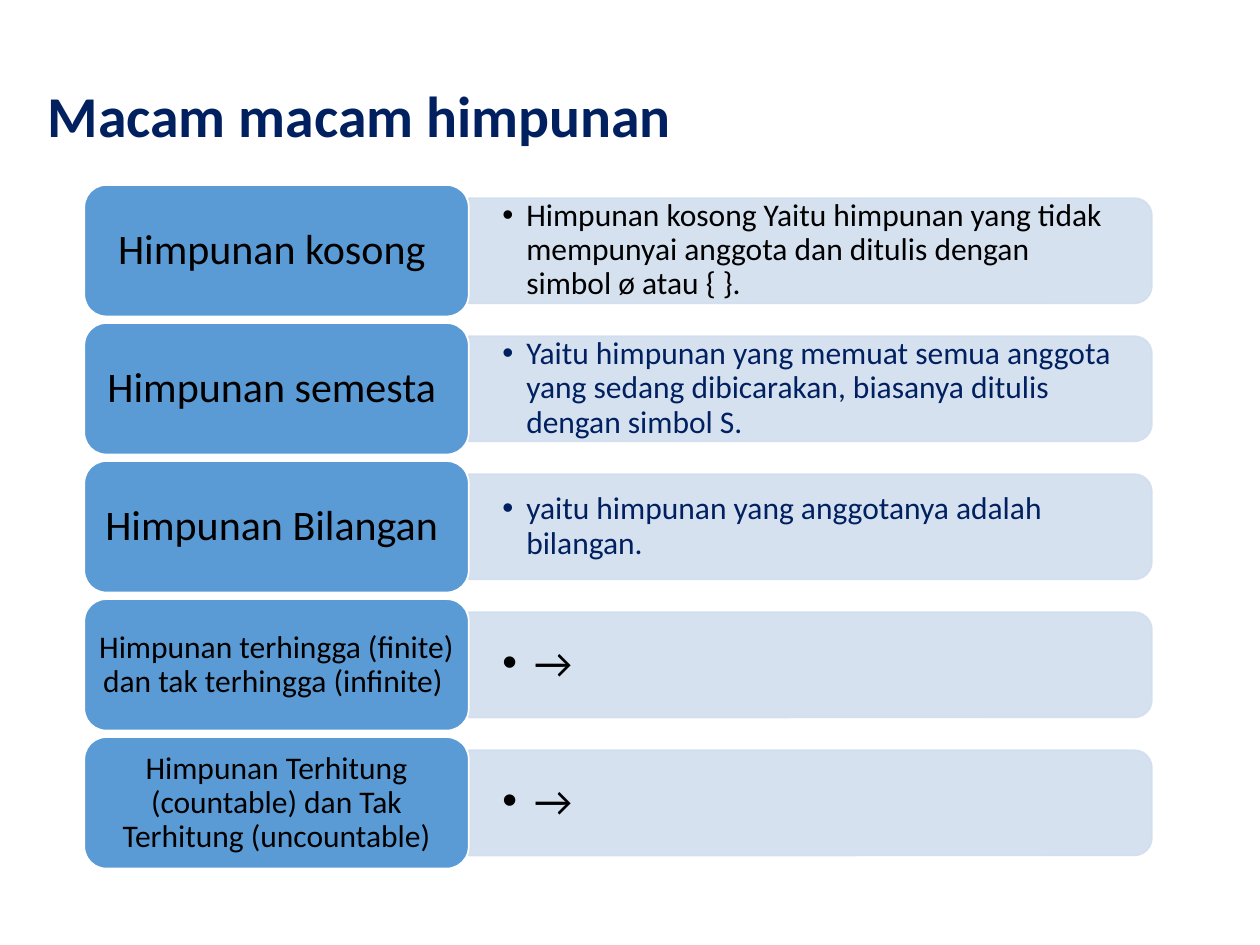
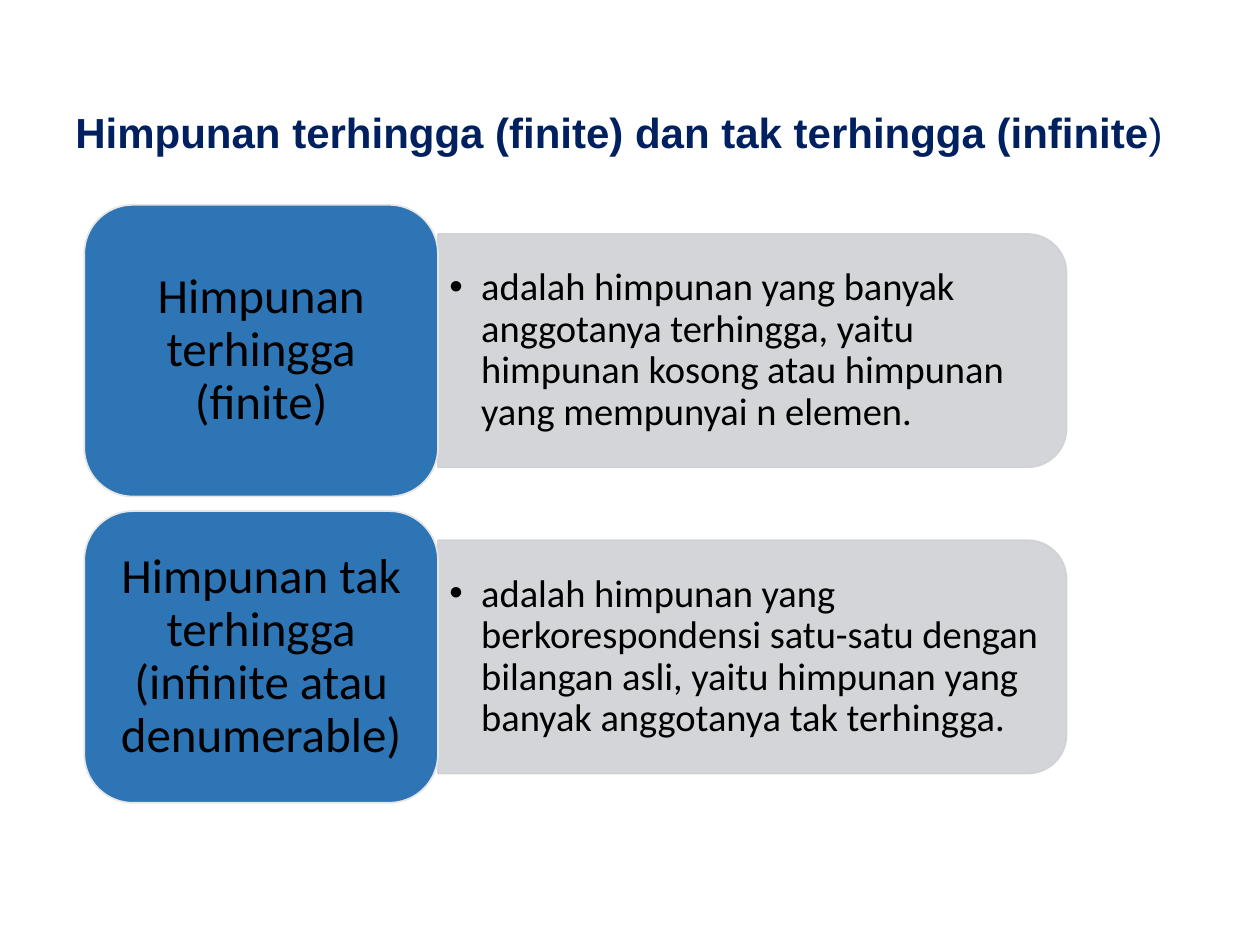
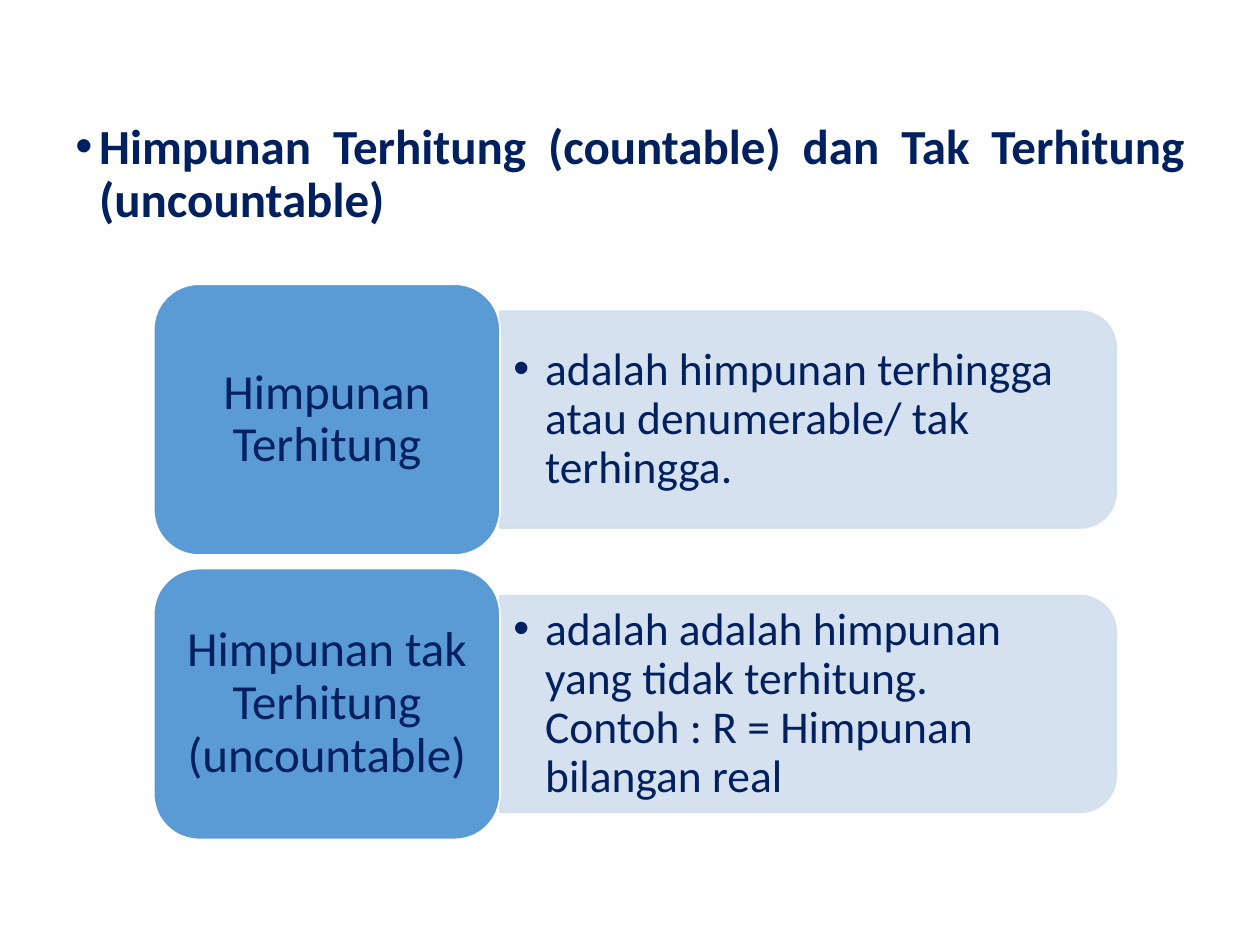
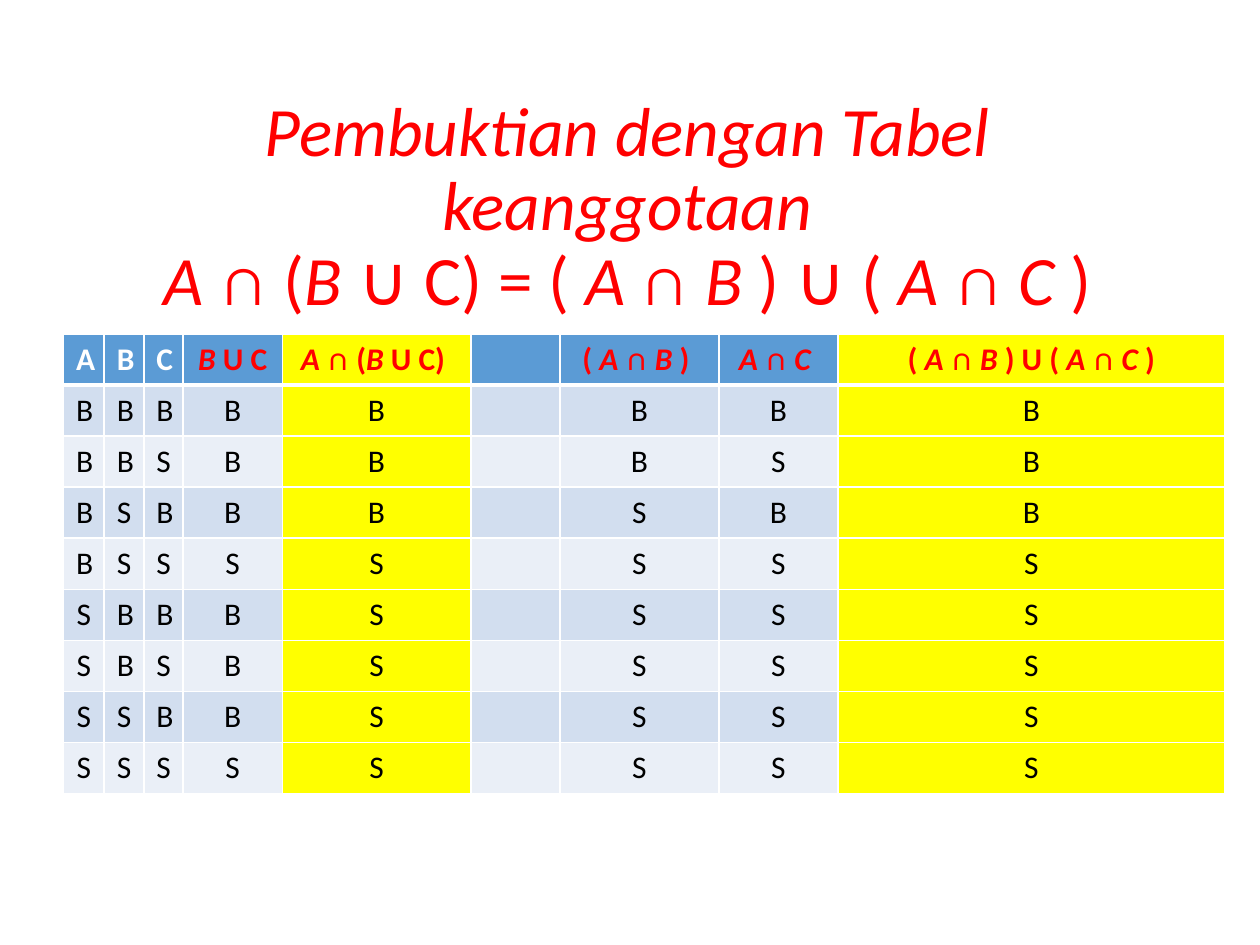
from itertools import product

from lxml import etree
from pptx import Presentation
from pptx.dml.color import RGBColor
from pptx.enum.shapes import MSO_SHAPE
from pptx.enum.text import MSO_ANCHOR, MSO_AUTO_SIZE, PP_ALIGN
from pptx.oxml.ns import qn
from pptx.util import Cm, Pt

LEFT, CENTER, JUSTIFY = PP_ALIGN.LEFT, PP_ALIGN.CENTER, PP_ALIGN.JUSTIFY
TOP, MIDDLE = MSO_ANCHOR.TOP, MSO_ANCHOR.MIDDLE
ROUNDED = MSO_SHAPE.ROUNDED_RECTANGLE
TOP_ROUNDED = MSO_SHAPE.ROUND_2_SAME_RECTANGLE
NO_FIT = MSO_AUTO_SIZE.NONE
CONTENT_LAYOUT, TITLE_LAYOUT = 1, 5

COLORS = {
    "navy": "002060", "black": "000000", "white": "FFFFFF", "red": "FF0000",
    "blue": "5B9BD5", "pale blue": "D2DEEF", "faint blue": "EAEFF7",
    "deep blue": "2E75B6", "gray": "CFD1D4", "light gray": "E7E6E6",
    "yellow": "FFFF00",
}
FONT = "Calibri"
LINE_SPACING = 0.9
BULLET_INDENT = 0.64
SMALL_INDENT = 0.48

# Corner insets of the text and proportions of a row, relative to its height
ROW_GAP = 0.05
PANEL_SHARE = 0.8
CORNER_INSET = 0.05


def rgb(color):
    return RGBColor.from_string(COLORS[color])


def style_paragraph(paragraph, size, color, align=LEFT, bold=False, font=FONT):
    paragraph.alignment = align
    paragraph.line_spacing = LINE_SPACING
    paragraph.space_before = Pt(0)
    paragraph.font.name = font
    paragraph.font.size = Pt(size)
    paragraph.font.bold = bold
    paragraph.font.color.rgb = rgb(color)


def set_bullet(paragraph, indent):
    """Hang a bullet by indent cm; an indent of 0 turns the bullet off."""
    properties = paragraph._p.get_or_add_pPr()
    properties.set("marL", str(Cm(indent)))
    properties.set("indent", str(-Cm(indent)))
    if indent:
        font = etree.SubElement(properties, qn("a:buFont"))
        font.set("typeface", "Arial")
        etree.SubElement(properties, qn("a:buChar")).set("char", "•")
    else:
        etree.SubElement(properties, qn("a:buNone"))


def add_marked_runs(paragraph, text):
    """Add runs; the parts between asterisks are italic."""
    for index, part in enumerate(text.split("*")):
        if part:
            run = paragraph.add_run()
            run.text = part
            run.font.italic = index % 2 == 1


def prepare_frame(frame, insets, anchor=MIDDLE):
    frame.word_wrap = True
    frame.auto_size = NO_FIT
    frame.vertical_anchor = anchor
    frame.margin_left = frame.margin_right = Cm(insets[0])
    frame.margin_top = frame.margin_bottom = Cm(insets[1])


def place_placeholder(placeholder, left, top, width, height, anchor):
    """Move a placeholder and return its first paragraph."""
    placeholder.left, placeholder.top = Cm(left), Cm(top)
    placeholder.width, placeholder.height = Cm(width), Cm(height)
    prepare_frame(placeholder.text_frame, (0.25, 0.13), anchor)
    return placeholder.text_frame.paragraphs[0]


def add_titled_slide(prs, *box):
    slide = prs.slides.add_slide(prs.slide_layouts[TITLE_LAYOUT])
    return slide, place_placeholder(slide.shapes.title, *box, MIDDLE)


def add_body_slide(prs, *box):
    """Add a slide whose heading stands in the body placeholder."""
    slide = prs.slides.add_slide(prs.slide_layouts[CONTENT_LAYOUT])
    title = slide.shapes.title._element
    title.getparent().remove(title)
    return slide, place_placeholder(slide.placeholders[1], *box, TOP)


def add_filled_shape(slide, preset, left, top, width, height, fill, line):
    shape = slide.shapes.add_shape(preset, Cm(left), Cm(top), Cm(width), Cm(height))
    shape.shadow.inherit = False
    shape.fill.solid()
    shape.fill.fore_color.rgb = rgb(fill)
    shape.line.color.rgb = rgb(line)
    shape.line.width = Pt(1)
    return shape


def add_panel(slide, left, top, width, height, fill):
    """Add a translucent panel that is rounded on its right side."""
    panel = add_filled_shape(slide, TOP_ROUNDED, left + (width - height) / 2,
                             top + (height - width) / 2, height, width, fill, fill)
    panel.rotation = 90
    for color in panel._element.spPr.iter(qn("a:srgbClr")):
        etree.SubElement(color, qn("a:alpha")).set("val", "90000")


def add_definition(slide, left, top, width, height, text, size, color, indent, insets):
    box = slide.shapes.add_textbox(Cm(left), Cm(top), Cm(width), Cm(height))
    prepare_frame(box.text_frame, insets)
    paragraph = box.text_frame.paragraphs[0]
    paragraph.text = text
    set_bullet(paragraph, indent)
    style_paragraph(paragraph, size, color)


def add_term_rows(slide, rows, left, top, term_width, row_height, panel_width,
                  panel_insets, term_fill="blue", term_line="white",
                  panel_fill="pale blue"):
    """Stack rows of a term block and its definition panel.

    A row is (term, size, color, insets), (definition, size, color, indent).
    """
    panel_height = row_height * PANEL_SHARE
    inset = panel_height * CORNER_INSET
    panel_left = left + term_width
    for index, (term, definition) in enumerate(rows):
        row_top = top + index * row_height * (1 + ROW_GAP)
        panel_top = row_top + (row_height - panel_height) / 2
        add_panel(slide, panel_left, panel_top, panel_width, panel_height, panel_fill)
        add_definition(slide, panel_left, panel_top + inset, panel_width - inset,
                       panel_height - 2 * inset, *definition, panel_insets)
        block = add_filled_shape(slide, ROUNDED, left, row_top, term_width,
                                 row_height, term_fill, term_line)
        text, size, color, insets = term
        prepare_frame(block.text_frame, insets)
        paragraph = block.text_frame.paragraphs[0]
        paragraph.text = text
        style_paragraph(paragraph, size, color, CENTER)


def set_borders(cell, top, bottom):
    properties = cell._tc.get_or_add_tcPr()
    for side, width in (("L", 1), ("R", 1), ("T", top), ("B", bottom)):
        line = etree.SubElement(properties, qn(f"a:ln{side}"))
        line.set("w", str(Pt(width)))
        fill = etree.SubElement(line, qn("a:solidFill"))
        etree.SubElement(fill, qn("a:srgbClr")).set("val", COLORS["white"])


def fill_cell(cell, text, fill, color, bold=False, top=1, bottom=1):
    set_borders(cell, top, bottom)
    cell.fill.solid()
    cell.fill.fore_color.rgb = rgb(fill)
    paragraph = cell.text_frame.paragraphs[0]
    add_marked_runs(paragraph, text)
    style_paragraph(paragraph, 18, color, CENTER, bold)
    paragraph.line_spacing = 1.0


def membership_rows():
    """Yield the truth table of both sides, B for true and S for false."""
    for a, b, c in product((True, False), repeat=3):
        values = (a, b, c, b or c, a and (b or c), None,
                  a and b, a and c, (a and b) or (a and c))
        yield ["" if value is None else "B" if value else "S" for value in values]


def add_membership_table(slide):
    headers = ("A", "B", "C", "*B *U C", "*A *∩ (*B *U C) ", "",
               "( *A *∩ *B* ) ", "*A *∩ *C *", "( *A *∩ *B* ) U ( *A *∩ *C* )")
    widths = (0.82, 0.8, 0.79, 2, 3.8, 1.8, 3.2, 2.4, 7.8)
    proof_columns = (4, 8)
    rows = list(membership_rows())
    row_height = 1.03
    table = slide.shapes.add_table(
        len(rows) + 1, len(headers), Cm(1.28), Cm(6.73), Cm(sum(widths)),
        Cm(row_height * (len(rows) + 1))).table
    table.horz_banding = False
    for column, width in zip(table.columns, widths):
        column.width = Cm(width)
    for column, header in enumerate(headers):
        fill = "yellow" if column in proof_columns else "blue"
        color = "white" if column < 3 else "red"
        fill_cell(table.cell(0, column), header, fill, color, bold=True, bottom=3)
    for number, row in enumerate(rows, start=1):
        band = "pale blue" if number % 2 else "faint blue"
        for column, value in enumerate(row):
            fill = "yellow" if column in proof_columns else band
            fill_cell(table.cell(number, column), value, fill, "black",
                      top=3 if number == 1 else 1)


def build_kinds_slide(prs):
    slide, title = add_titled_slide(prs, 0.71, 0.56, 21.9, 3.68)
    title.text = "Macam macam himpunan"
    style_paragraph(title, 33, "navy", bold=True)
    wide, narrow = (0.25, 0.13), (0.17, 0.09)
    arrow = ("→", 24, "black", BULLET_INDENT)
    rows = (
        (("Himpunan kosong ", 24, "black", wide),
         ("Himpunan kosong Yaitu himpunan yang tidak mempunyai anggota dan "
          "ditulis dengan simbol ø atau { }.", 18, "black", SMALL_INDENT)),
        (("Himpunan semesta ", 24, "black", wide),
         ("Yaitu himpunan yang memuat semua anggota yang sedang dibicarakan, "
          "biasanya ditulis dengan simbol S.", 18, "navy", SMALL_INDENT)),
        (("Himpunan Bilangan ", 24, "black", wide),
         ("yaitu himpunan yang anggotanya adalah bilangan.",
          18, "navy", SMALL_INDENT)),
        (("Himpunan terhingga (finite) dan tak terhingga (infinite) ",
          18, "black", narrow), arrow),
        (("Himpunan Terhitung (countable) dan Tak Terhitung (uncountable)",
          18, "black", narrow), arrow),
    )
    add_term_rows(slide, rows, 1.7, 3.73, 7.75, 2.65, 13.77, (0.68, 0.34))


def build_finite_slide(prs):
    slide, heading = add_body_slide(prs, 1.27, 2.13, 23.42, 14.81)
    set_bullet(heading, 0)
    style_paragraph(heading, 24, "navy", font="Arial")
    heading.add_run().text = "Himpunan terhingga (finite) dan tak terhingga (infinite"
    heading.runs[0].font.bold = True
    heading.add_run().text = ")"
    insets = (0.3, 0.15)
    rows = (
        (("Himpunan terhingga (finite)", 28, "black", insets),
         ("adalah himpunan yang banyak anggotanya terhingga, yaitu himpunan "
          "kosong atau himpunan yang mempunyai n elemen.",
          22, "black", BULLET_INDENT)),
        (("Himpunan tak terhingga (infinite atau denumerable)",
          28, "black", insets),
         ("adalah himpunan yang berkorespondensi satu-satu dengan bilangan "
          "asli, yaitu himpunan yang banyak anggotanya tak terhingga.",
          22, "black", BULLET_INDENT)),
    )
    add_term_rows(slide, rows, 1.7, 4.13, 7.13, 5.88, 12.67, (0.23, 0.12),
                  "deep blue", "light gray", "gray")


def build_countable_slide(prs):
    slide, heading = add_body_slide(prs, 1.27, 2.34, 22.86, 15.39)
    heading.text = "Himpunan Terhitung (countable) dan Tak Terhitung (uncountable)"
    set_bullet(heading, SMALL_INDENT)
    style_paragraph(heading, 28, "navy", JUSTIFY, bold=True)
    insets = (0.3, 0.15)
    rows = (
        (("Himpunan Terhitung", 28, "navy", insets),
         ("adalah himpunan terhingga atau denumerable/ tak terhingga.",
          26, "navy", BULLET_INDENT)),
        (("Himpunan tak Terhitung (uncountable)", 28, "navy", insets),
         ("adalah adalah himpunan yang tidak terhitung. Contoh : "
          "R = Himpunan bilangan real", 26, "navy", BULLET_INDENT)),
    )
    add_term_rows(slide, rows, 3.1, 5.73, 6.98, 5.46, 12.42, (0.27, 0.13))


def build_proof_slide(prs):
    slide, title = add_titled_slide(prs, 1.22, 2.51, 22.86, 3.38)
    add_marked_runs(title, "*Pembuktian dengan Tabel keanggotaan*")
    title.add_line_break()
    add_marked_runs(title, "*A *∩ (*B* ∪ C) = ( *A *∩ *B* ) ∪ ( *A *∩ *C* )")
    style_paragraph(title, 39.6, "red", CENTER)
    add_membership_table(slide)


def main():
    prs = Presentation()
    prs.slide_width, prs.slide_height = Cm(25.4), Cm(19.05)
    build_kinds_slide(prs)
    build_finite_slide(prs)
    build_countable_slide(prs)
    build_proof_slide(prs)
    prs.save("out.pptx")


if __name__ == "__main__":
    main()
